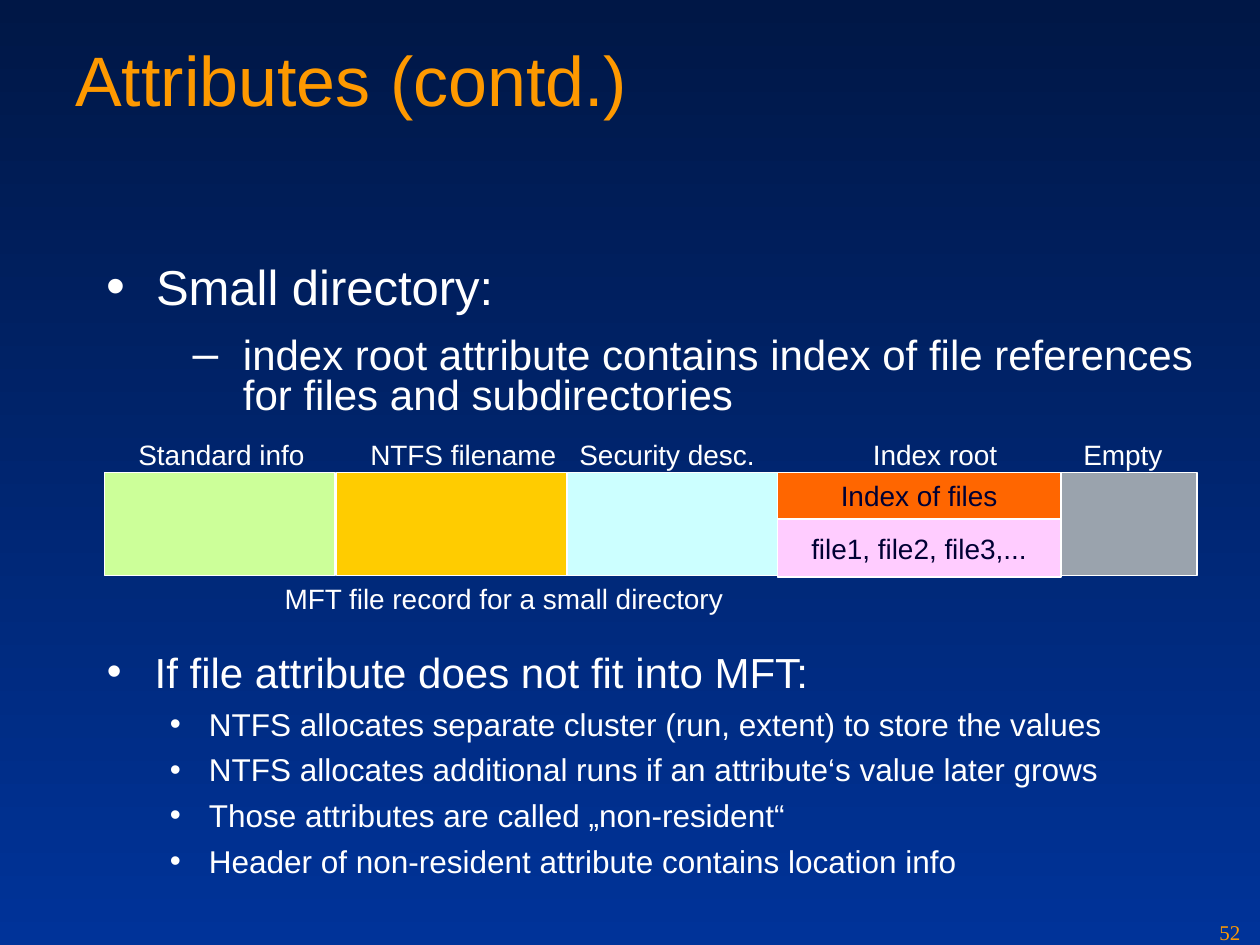
from lxml import etree
from pptx import Presentation
from pptx import util as u
from pptx.dml.color import RGBColor
from pptx.enum import shapes, text
from pptx.oxml import ns

COLORS = {
    "top": "001746", "bottom": "003399", "accent": "FE9900",
    "white": "FFFFFF", "ink": "000033", "green": "CCFF99",
    "yellow": "FFCC00", "cyan": "CCFFFF", "pink": "FFCCFF",
    "orange": "FF6600", "gray": "9AA3AD",
}
ROW_TOP, ROW_HEIGHT = 3.75, 0.82
LABEL_TOP, LABEL_HEIGHT = 3.42, 0.37

# Record fields: left, width, fill, label, label left, label width
FIELDS = [
    (0.83, 1.83, "green", "Standard info", 1, 1.52),
    (2.67, 1.83, "yellow", "NTFS filename", 2.84, 1.68),
    (4.5, 1.67, "cyan", "Security desc.", 4.5, 1.59),
    (6.17, 2.25, None, "Index root", 6.83, 1.2),
    (8.42, 1.08, "gray", "Empty", 8.5, 0.83),
]

# Bullet styles: size, left margin, hanging, space before, space after,
# line spacing, bullet sign, bullet percent
STYLES = {
    "main": (28, 0.39, 0.39, 7, 7, 0.8, "•", 110),
    "dash": (24, 1.08, 0.4, 6, 6, 0.8, "–", 110),
    "second": (24, 0.38, 0.38, 6, 0, 1, "•", 100),
    "detail": (18, 0.81, 0.31, 4.5, 0, 1, "•", 100),
}
DIRECTORY_POINTS = [
    ("main", "Small directory:"),
    ("dash", "index root attribute contains index of file references "
             "for files and subdirectories"),
]
OVERFLOW_POINTS = [
    ("second", "If file attribute does not fit into MFT:"),
    ("detail", "NTFS allocates separate cluster (run, extent) to store the values"),
    ("detail", "NTFS allocates additional runs if an attribute‘s value later grows"),
    ("detail", "Those attributes are called „non-resident“"),
    ("detail", "Header of non-resident attribute contains location info"),
]


def rgb(name):
    return RGBColor.from_string(COLORS[name])


def set_font(para, size, color, face="Arial"):
    para.font.size = u.Pt(size)
    para.font.name = face
    para.font.color.rgb = rgb(color)


def add_box(page, left, top, width, height, wrap=True):
    box = page.shapes.add_textbox(*map(u.Inches, (left, top, width, height)))
    frame = box.text_frame
    frame.word_wrap = wrap
    # One-line labels grow with their text instead of breaking
    if not wrap:
        frame.auto_size = text.MSO_AUTO_SIZE.SHAPE_TO_FIT_TEXT
    return frame


def add_text(page, words, area, size=16, color="white", face="Arial", wrap=False):
    para = add_box(page, *area, wrap=wrap).paragraphs[0]
    para.text = words
    set_font(para, size, color, face)


def add_field(page, left, top, width, height, fill):
    field = page.shapes.add_shape(
        shapes.MSO_SHAPE.RECTANGLE, *map(u.Inches, (left, top, width, height)))
    field.shadow.inherit = False
    field.fill.solid()
    field.fill.fore_color.rgb = rgb(fill)
    field.line.color.rgb = rgb("white")
    field.line.width = u.Pt(0.75)
    return field


def set_bullet(para, left, hanging, sign, percent):
    props = para._p.get_or_add_pPr()
    props.set("marL", str(u.Inches(left)))
    props.set("indent", str(-u.Inches(hanging)))
    color = etree.SubElement(props, ns.qn("a:buClr"))
    etree.SubElement(color, ns.qn("a:srgbClr"), val=COLORS["white"])
    etree.SubElement(props, ns.qn("a:buSzPct"), val=str(percent * 1000))
    etree.SubElement(props, ns.qn("a:buFont"), typeface="Arial")
    etree.SubElement(props, ns.qn("a:buChar"), char=sign)


def add_bullets(page, points, area):
    frame = add_box(page, *area)
    for index, (style, words) in enumerate(points):
        size, left, hanging, before, after, spacing, sign, percent = STYLES[style]
        para = frame.add_paragraph() if index else frame.paragraphs[0]
        para.text = words
        para.level = int(style in ("dash", "detail"))
        para.line_spacing = spacing
        para.space_before, para.space_after = u.Pt(before), u.Pt(after)
        set_bullet(para, left, hanging, sign, percent)
        set_font(para, size, "white")


def paint_background(page):
    fill = page.background.fill
    fill.gradient()
    fill.gradient_angle = 270
    for stop, name in zip(fill.gradient_stops, ("top", "bottom")):
        stop.color.rgb = rgb(name)


def add_record(page):
    for left, width, fill, label, label_left, label_width in FIELDS:
        add_text(page, label, (label_left, LABEL_TOP, label_width, LABEL_HEIGHT))
        if fill:
            add_field(page, left, ROW_TOP, width, ROW_HEIGHT, fill)

    # The index root is split into a heading and its file list
    add_field(page, 6.17, 4.08, 2.25, 0.5, "pink")
    heading = add_field(page, 6.17, ROW_TOP, 2.25, 0.37, "orange")
    heading.text_frame.vertical_anchor = text.MSO_ANCHOR.TOP
    para = heading.text_frame.paragraphs[0]
    para.text = "Index of files"
    para.alignment = text.PP_ALIGN.CENTER
    set_font(para, 16, "ink")
    add_text(page, "file1, file2, file3,...", (6.34, 4.17, 1.91, 0.37), color="ink")
    add_text(page, "MFT file record for a small directory", (2.16, 4.57, 3.68, 0.37))


def main():
    deck = Presentation()
    deck.slide_width, deck.slide_height = u.Inches(10), u.Inches(7.5)
    page = deck.slides.add_slide(deck.slide_layouts[6])
    paint_background(page)

    # Title and first bullets
    add_text(page, "Attributes (contd.)", (0.5, 0.24, 9, 1.25), 40, "accent", wrap=True)
    add_bullets(page, DIRECTORY_POINTS, (0.75, 2.08, 8.83, 1.42))

    # File record diagram
    add_record(page)

    # Closing bullets and page number
    add_bullets(page, OVERFLOW_POINTS, (0.75, 5.08, 8.83, 1.75))
    add_text(page, "52", (9.58, 7.25, 0.42, 0.25), 12, "accent",
             "Times New Roman", wrap=True)
    deck.save("out.pptx")


if __name__ == "__main__":
    main()
